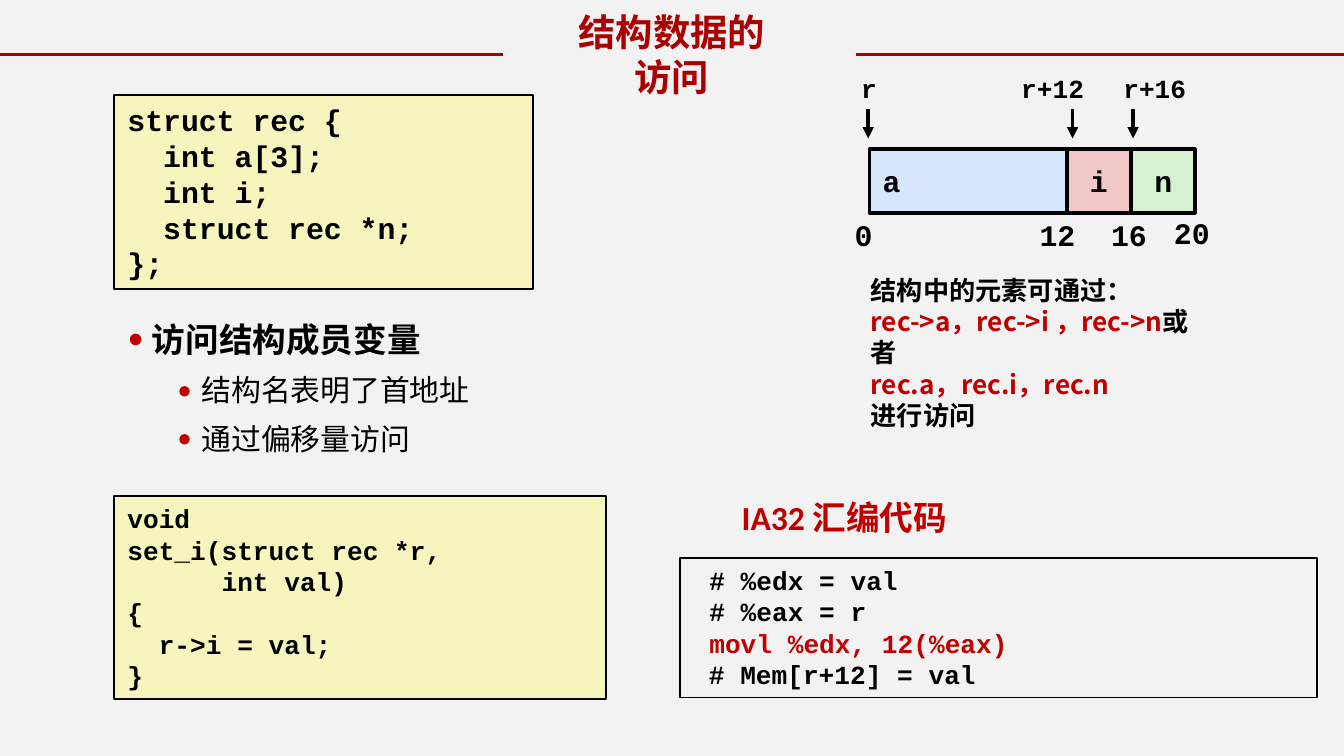
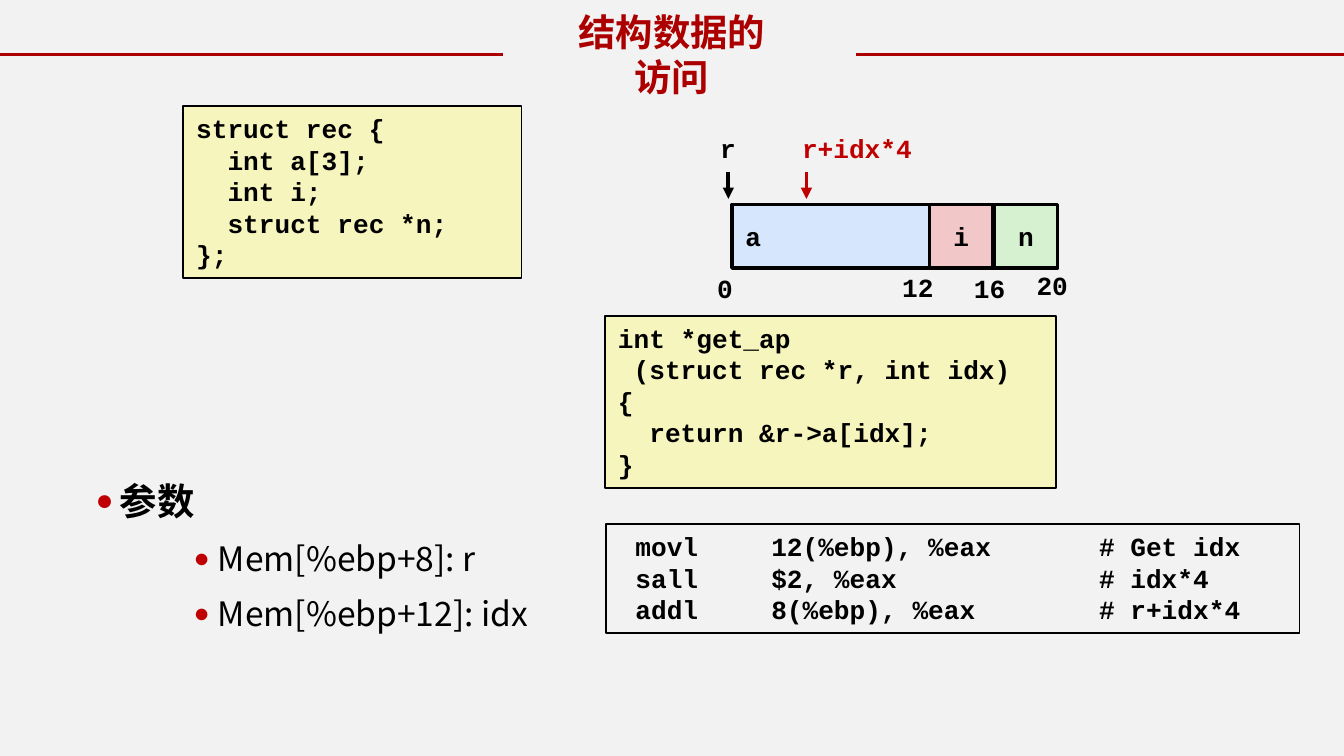
from lxml import etree
from pptx import Presentation
from pptx.dml.color import RGBColor
from pptx.enum.shapes import MSO_CONNECTOR, MSO_SHAPE
from pptx.enum.text import MSO_ANCHOR, MSO_AUTO_SIZE, PP_ALIGN
from pptx.oxml.ns import qn
from pptx.util import Pt

RECT = MSO_SHAPE.RECTANGLE
STRAIGHT = MSO_CONNECTOR.STRAIGHT
TOP, MIDDLE = MSO_ANCHOR.TOP, MSO_ANCHOR.MIDDLE
LEFT, CENTER = PP_ALIGN.LEFT, PP_ALIGN.CENTER
NO_FIT = MSO_AUTO_SIZE.NONE

BLACK = RGBColor(0x00, 0x00, 0x00)
RED = RGBColor(0xC0, 0x00, 0x00)
DARK_RED = RGBColor(0xAC, 0x00, 0x00)
GRAY = RGBColor(0xF2, 0xF2, 0xF2)
YELLOW = RGBColor(0xF6, 0xF5, 0xBD)
BLUE = RGBColor(0xD5, 0xE6, 0xFD)
PINK = RGBColor(0xF1, 0xC7, 0xC7)
GREEN = RGBColor(0xD5, 0xF1, 0xCF)

MONO, SANS, CJK = "Courier New", "Calibri", "Noto Sans CJK SC"


def add_text(tf, text, size=14, font=MONO, color=BLACK, bold=True, align=LEFT,
             leading=1.2, before=0, level=0, indent=0, hang=0, bullet=False,
             tabs=(), join=False):
    for line in text.split("\n"):
        p = tf.paragraphs[-1]
        if p.runs and not join:
            p = tf.add_paragraph()
        if not join:
            p.level, p.alignment = level, align
            p.line_spacing = Pt(round(size * leading, 1))
            p.space_before = Pt(round(size * before, 1))
            pPr = p._p.get_or_add_pPr()
            if hang:
                pPr.set("marL", str(Pt(indent)))
                pPr.set("indent", str(Pt(-hang)))
            if bullet:
                clr = etree.SubElement(pPr, qn("a:buClr"))
                etree.SubElement(clr, qn("a:srgbClr"), val=str(RED))
                etree.SubElement(pPr, qn("a:buSzPct"), val="80000")
                etree.SubElement(pPr, qn("a:buChar"), char="●")
            if tabs:
                tab_list = etree.SubElement(pPr, qn("a:tabLst"))
                for pos in tabs:
                    etree.SubElement(tab_list, qn("a:tab"), pos=str(Pt(pos)), algn="l")
        r = p.add_run()
        r.text = line
        r.font.size, r.font.bold, r.font.name = Pt(size), bold, font
        r.font.color.rgb = color
        etree.SubElement(r._r.get_or_add_rPr(), qn("a:ea"), typeface=CJK)


def add_box(s, x, y, w, h, fill=None, line=1, anchor=TOP, wrap=True):
    box = Pt(x), Pt(y), Pt(w), Pt(h)
    if fill is None:
        sp = s.shapes.add_textbox(*box)
    else:
        sp = s.shapes.add_shape(RECT, *box)
        sp.shadow.inherit = False
        sp.fill.solid()
        sp.fill.fore_color.rgb = fill
        sp.line.color.rgb = BLACK
        sp.line.width = Pt(line)
    tf = sp.text_frame
    tf.word_wrap, tf.auto_size, tf.vertical_anchor = wrap, NO_FIT, anchor
    return tf


prs = Presentation()
prs.slide_width, prs.slide_height = Pt(720), Pt(405)
bg = prs.slide_master.background.fill
bg.solid()
bg.fore_color.rgb = GRAY

lines = []
slides = []
for x, y, w, h in [(61.2, 162.7, 256.3, 100), (44, 247.7, 277.2, 110.9)]:
    s = prs.slides.add_slide(prs.slide_layouts[1])
    title, body = s.shapes.title, s.placeholders[1]
    title.left, title.top, title.width, title.height = Pt(300.2), Pt(1.4), Pt(119.5), Pt(55.4)
    body.left, body.top, body.width, body.height = Pt(x), Pt(y), Pt(w), Pt(h)
    for sp in (title, body):
        sp.text_frame.auto_size = NO_FIT
        sp.text_frame.word_wrap = True
        sp.text_frame.vertical_anchor = TOP
    add_text(title.text_frame, "结构数据的访问", size=20, font=CJK, color=DARK_RED, align=CENTER)
    lines += [(s, 0, 29.2, 269.3, 29.2, DARK_RED, False),
              (s, 458.6, 29.2, 720, 29.2, DARK_RED, False)]
    slides.append((s, body.text_frame))
(s1, list1), (s2, list2) = slides

item = {"leading": 1.44, "before": 0.2, "hang": 13, "bullet": True}
add_text(list1, "访问结构成员变量", size=18, font=SANS, indent=13, **item)
add_text(list1, "结构名表明了首地址\n通过偏移量访问", size=16, font=SANS, bold=False,
         level=1, indent=39.6, **item)
add_text(list2, "参数", size=20, font=CJK, indent=13, **item)
add_text(list2, "Mem[%ebp+8]: r\nMem[%ebp+12]: idx", size=18, font=CJK, bold=False,
         level=2, indent=65.5, **item)

struct = "struct rec {\n  int a[3];\n  int i;\n  struct rec *n;\n};"
set_i = "void\nset_i(struct rec *r,\n      int val)\n{\n  r->i = val;\n}"
get_ap = "int *get_ap\n (struct rec *r, int idx)\n{\n  return &r->a[idx];\n}"
for s, x, y, w, h, size, code in [
    (s1, 61.2, 51, 224.6, 103.9, 16, struct),
    (s1, 61.2, 265.7, 263.5, 108.9, 14, set_i),
    (s2, 98, 56.9, 181.4, 92.2, 14, struct),
    (s2, 324, 169.2, 241.9, 92.2, 14, get_ap),
]:
    add_text(add_box(s, x, y, w, h, fill=YELLOW), code, size=size)

cells = [("i", 105.8, 34, PINK, CENTER), ("a", 0, 105.8, BLUE, LEFT),
         ("n", 140.4, 34, GREEN, CENTER)]
offsets = [("0", -15.1, 32.8), ("12", 84, 32.4), ("16", 122.4, 32.8), ("20", 156, 31.3)]
diagrams = [
    (s1, 465.8, 80, 16, 35.3, 58.3, 74.2,
     [("r", 454.3, 465.1, BLACK), ("r+12", 540, 574.6, BLACK), ("r+16", 594.7, 607, BLACK)]),
    (s2, 392.2, 109.6, 14, 67.4, 92.2, 106.6,
     [("r", 378.7, 390.2, BLACK), ("r+idx*4", 422.6, 432, RED)]),
]
for s, x, y, size, label_y, arrow_y, tip_y, pointers in diagrams:
    for name, dx, w, fill, align in cells:
        tf = add_box(s, x + dx, y, w, 34, fill=fill, line=2, anchor=MIDDLE, wrap=False)
        add_text(tf, name, size=size, align=align)
    labels = [(text, x + dx, y + dy, size, BLACK) for text, dx, dy in offsets]
    for text, label_x, arrow_x, color in pointers:
        labels.append((text, label_x, label_y, 14, color))
        lines.append((s, arrow_x, arrow_y, arrow_x, tip_y, color, True))
    for text, left, top, pts, color in labels:
        w = 14.4 + 0.6 * pts * len(text)
        tf = add_box(s, left, top, w, 7.2 + 1.2 * pts, wrap=False)
        add_text(tf, text, size=pts, color=color)

tf = add_box(s1, 459.4, 143.3, 187.9, 92.2)
add_text(tf, "结构中的元素可通过：", font=CJK)
add_text(tf, "rec->a，rec->i ，rec->n", font=CJK, color=RED)
add_text(tf, "或者", font=CJK, join=True)
add_text(tf, "rec.a，rec.i，rec.n", font=CJK, color=RED)
add_text(tf, "进行访问", font=CJK)

tf = add_box(s1, 390.2, 262.8, 265, 32.4)
add_text(tf, "IA32 汇编代码", size=18, font=SANS, color=RED, before=0.3, indent=17.3, hang=17.3)

tf = add_box(s1, 364.3, 298.8, 341.3, 74.9, fill=GRAY)
stops = (8.64, 229.7)
add_text(tf, "\t# %edx = val\n\t# %eax = r", tabs=stops)
add_text(tf, "\tmovl %edx, 12(%eax) \t", color=RED, tabs=stops)
add_text(tf, " # Mem[r+12] = val", tabs=stops)

tf = add_box(s2, 324.7, 280.8, 371.5, 58.3, fill=GRAY)
add_text(tf, "\tmovl\t12(%ebp), %eax\t# Get idx\n\tsall\t$2, %eax\t# idx*4\n"
             "\taddl\t8(%ebp), %eax\t# r+idx*4", tabs=(8.64, 81.4, 257))

for s, x1, y1, x2, y2, color, arrow in lines:
    c = s.shapes.add_connector(STRAIGHT, Pt(x1), Pt(y1), Pt(x2), Pt(y2))
    c.line.color.rgb = color
    c.line.width = Pt(2)
    if arrow:
        etree.SubElement(c.line._get_or_add_ln(), qn("a:tailEnd"), type="triangle")
    etree.SubElement(c._element.spPr, qn("a:effectLst"))

prs.save("out.pptx")
